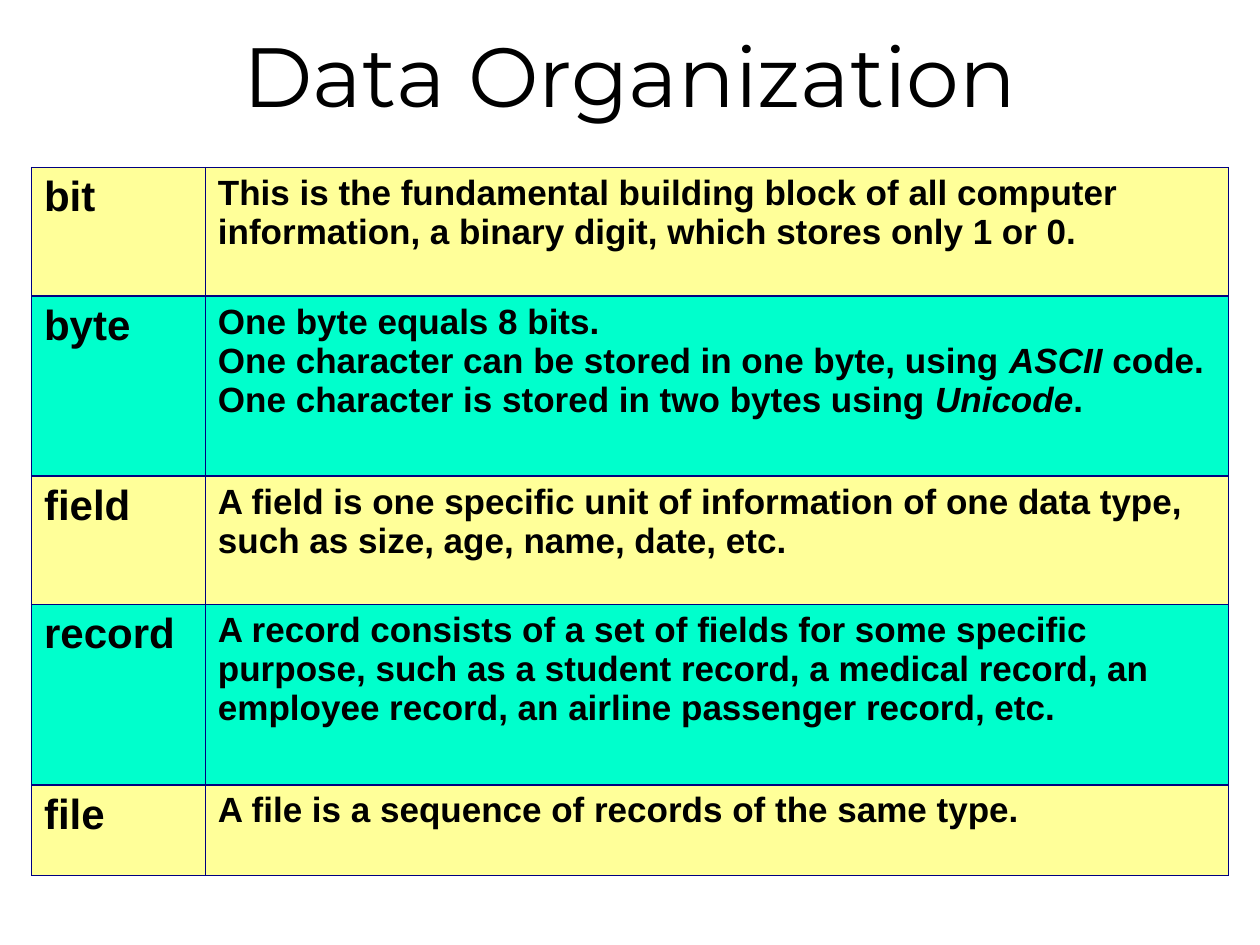
from lxml import etree
from pptx import Presentation, util as u
from pptx.dml.color import RGBColor
from pptx.enum import text
from pptx.oxml.ns import qn

TITLE = "Data Organization"
TERMS = [
    ("bit", 1.02, [[("This is the fundamental building block of all computer information, "
                     "a binary digit, which stores only 1 or 0.", False)]]),
    ("byte", 1.43, [
        [("One byte equals 8 bits.", False)],
        [("One character can be stored in one byte, using ", False), ("ASCII", True), (" code.", False)],
        [("One character is stored in two bytes using ", False), ("Unicode", True), (".", False)],
    ]),
    ("field", 1.02, [[("A field is one specific unit of information of one data type, "
                       "such as size, age, name, date, etc.", False)]]),
    ("record", 1.43, [[("A record consists of a set of fields for some specific purpose, "
                        "such as a student record, a medical record, an employee record, "
                        "an airline passenger record, etc.", False)]]),
    ("file", 0.72, [[("A file is a sequence of records of the same type.", False)]]),
]
THEME = {
    "title_font": "Montserrat", "body_font": "Arial",
    "title_size": 48, "term_size": 24, "definition_size": 20,
    "ink": "000000", "border": "000080", "border_width": 1,
    "bands": ("FFFF99", "00FFCC"),
}
WIDTH, HEIGHT = 10, 7.5
MARGIN, TABLE_TOP = 0.25, 1.33
COLUMNS = (1.38, WIDTH - 2 * MARGIN - 1.38)


def add_run(paragraph, content, font, size, bold=False, italic=False):
    run = paragraph.add_run()
    run.text = content
    run.font.name = font
    run.font.size = u.Pt(size)
    run.font.bold = bold
    run.font.italic = italic
    run.font.color.rgb = RGBColor.from_string(THEME["ink"])


def style_cell(cell, fill):
    properties = cell._tc.get_or_add_tcPr()
    for side in ("lnL", "lnR", "lnT", "lnB"):
        line = etree.SubElement(properties, qn(f"a:{side}"), w=str(u.Pt(THEME["border_width"])))
        solid = etree.SubElement(line, qn("a:solidFill"))
        etree.SubElement(solid, qn("a:srgbClr"), val=THEME["border"])
    cell.fill.solid()
    cell.fill.fore_color.rgb = RGBColor.from_string(fill)


def fill_cell(cell, paragraphs, size, alignment):
    frame = cell.text_frame
    for index, runs in enumerate(paragraphs):
        paragraph = frame.add_paragraph() if index else frame.paragraphs[0]
        paragraph.alignment = alignment
        for content, italic in runs:
            add_run(paragraph, content, THEME["body_font"], size, True, italic)


presentation = Presentation()
presentation.slide_width = u.Inches(WIDTH)
presentation.slide_height = u.Inches(HEIGHT)
slide = presentation.slides.add_slide(presentation.slide_layouts[5])

title = slide.shapes.title
title.left, title.top = 0, 0
title.width, title.height = u.Inches(WIDTH), u.Inches(1.17)
title.text_frame.vertical_anchor = text.MSO_ANCHOR.MIDDLE
heading = title.text_frame.paragraphs[0]
heading.alignment = text.PP_ALIGN.CENTER
add_run(heading, TITLE, THEME["title_font"], THEME["title_size"])

table_height = sum(height for _, height, _ in TERMS)
table = slide.shapes.add_table(
    len(TERMS), len(COLUMNS), u.Inches(MARGIN), u.Inches(TABLE_TOP),
    u.Inches(sum(COLUMNS)), u.Inches(table_height)).table
table.first_row = table.horz_banding = False
for column, width in zip(table.columns, COLUMNS):
    column.width = u.Inches(width)

for index, (term, height, definition) in enumerate(TERMS):
    table.rows[index].height = u.Inches(height)
    term_cell, definition_cell = table.rows[index].cells
    for cell in (term_cell, definition_cell):
        style_cell(cell, THEME["bands"][index % 2])
    fill_cell(term_cell, [[(term, False)]], THEME["term_size"], text.PP_ALIGN.JUSTIFY)
    fill_cell(definition_cell, definition, THEME["definition_size"], text.PP_ALIGN.LEFT)

presentation.save("out.pptx")
